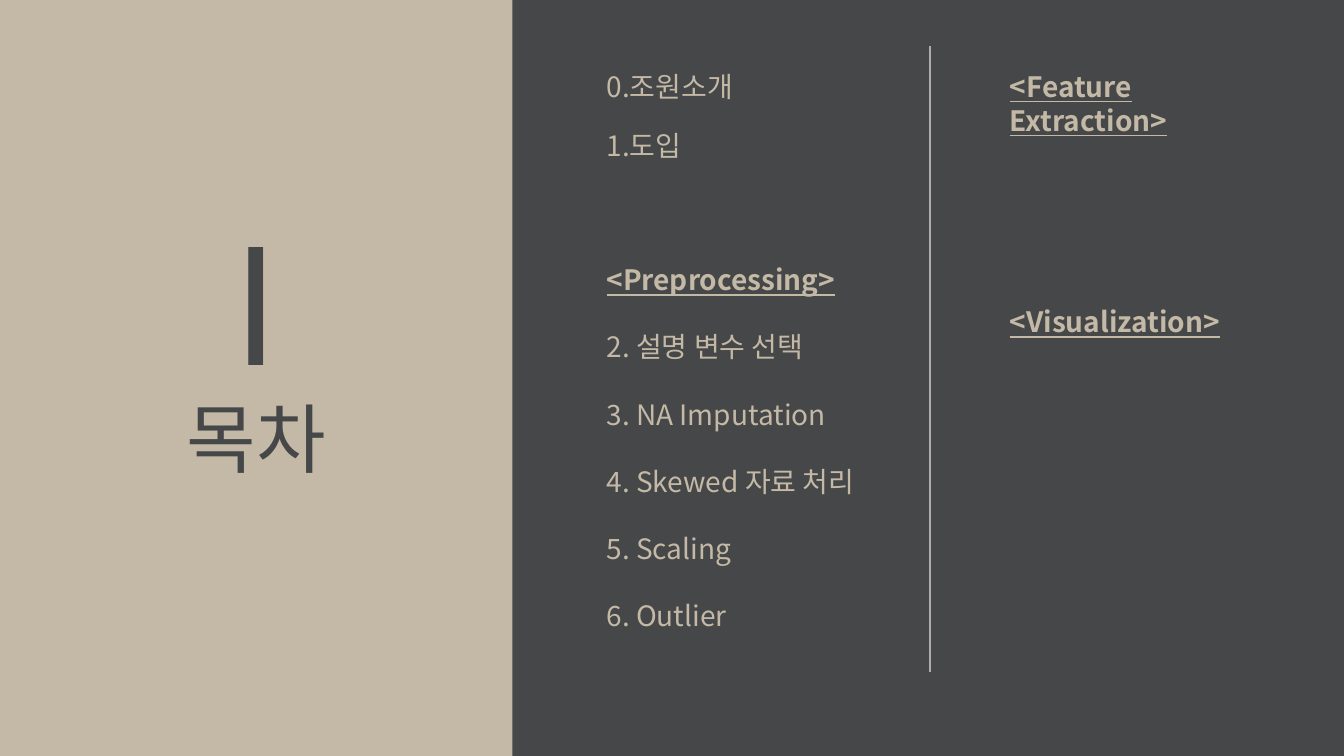
"""Build a contents slide with a title panel and two columns of topics."""
from lxml.etree import SubElement
from pptx import Presentation
from pptx.dml.color import RGBColor
from pptx.enum.shapes import MSO_CONNECTOR, MSO_SHAPE
from pptx.enum.text import PP_ALIGN
from pptx.oxml.ns import qn
from pptx.util import Pt

FONT = "Noto Sans CJK KR"
COLORS = {"dark": "464748", "sand": "C3B9A6", "rule": "AFABAB"}
WIDTH, HEIGHT = 960, 540


def color(name):
    return RGBColor.from_string(COLORS[name])


def style(para, size, tint, head=False):
    font = para.font
    font.size = Pt(size)
    font.color.rgb = color(tint)
    font.name = FONT
    font.bold = font.underline = head
    SubElement(font._element, qn("a:ea"), typeface=FONT)


def add_frame(slide, left, top, width, height):
    box = slide.shapes.add_textbox(Pt(left), Pt(top), Pt(width), Pt(height))
    box.text_frame.word_wrap = True
    return box.text_frame


def add_title(slide, text, size, *place):
    para = add_frame(slide, *place).paragraphs[0]
    para.text = text
    para.alignment = PP_ALIGN.CENTER
    style(para, size, "dark")


def add_topics(slide, topics, *place):
    frame = add_frame(slide, *place)
    for index, (text, gap) in enumerate(topics):
        para = frame.add_paragraph() if index else frame.paragraphs[0]
        para.text = text
        para.space_before = Pt(gap)
        style(para, 20, "sand", head=text.startswith("<"))


def add_panel(slide, width):
    panel = slide.shapes.add_shape(MSO_SHAPE.RECTANGLE, 0, 0, Pt(width), Pt(HEIGHT))
    panel.shadow.inherit = False
    panel.fill.solid()
    panel.fill.fore_color.rgb = color("sand")
    panel.line.fill.background()


def add_rule(slide, left, top, bottom):
    rule = slide.shapes.add_connector(
        MSO_CONNECTOR.STRAIGHT, Pt(left), Pt(top), Pt(left), Pt(bottom))
    rule.line.color.rgb = color("rule")
    rule.line.width = Pt(1.5)
    SubElement(rule._element.spPr, qn("a:effectLst"))


def main():
    deck = Presentation()
    deck.slide_width, deck.slide_height = Pt(WIDTH), Pt(HEIGHT)
    slide = deck.slides.add_slide(deck.slide_layouts[6])
    slide.background.fill.solid()
    slide.background.fill.fore_color.rgb = color("dark")

    add_panel(slide, 366)
    add_title(slide, "목차", 54, 72, 276.5, 222, 72.7)
    add_title(slide, "I", 115, 93.6, 142.6, 178.6, 146.9)

    steps = ["2. 설명 변수 선택", "3. NA Imputation", "4. Skewed 자료 처리",
             "5. Scaling", "6. Outlier"]
    topics = [("0.조원소개", 0), ("1.도입", 18), ("<Preprocessing>", 72)]
    topics += [(step, 24) for step in steps]
    add_topics(slide, topics, 426.2, 46.1, 205.9, 447.1)
    add_rule(slide, 664.6, 33.1, 480.2)
    topics = [("<Feature Extraction>", 0), ("<Visualization>", 120)]
    add_topics(slide, topics, 714.2, 46.1, 205.9, 177.1)

    deck.save("out.pptx")


if __name__ == "__main__":
    main()
